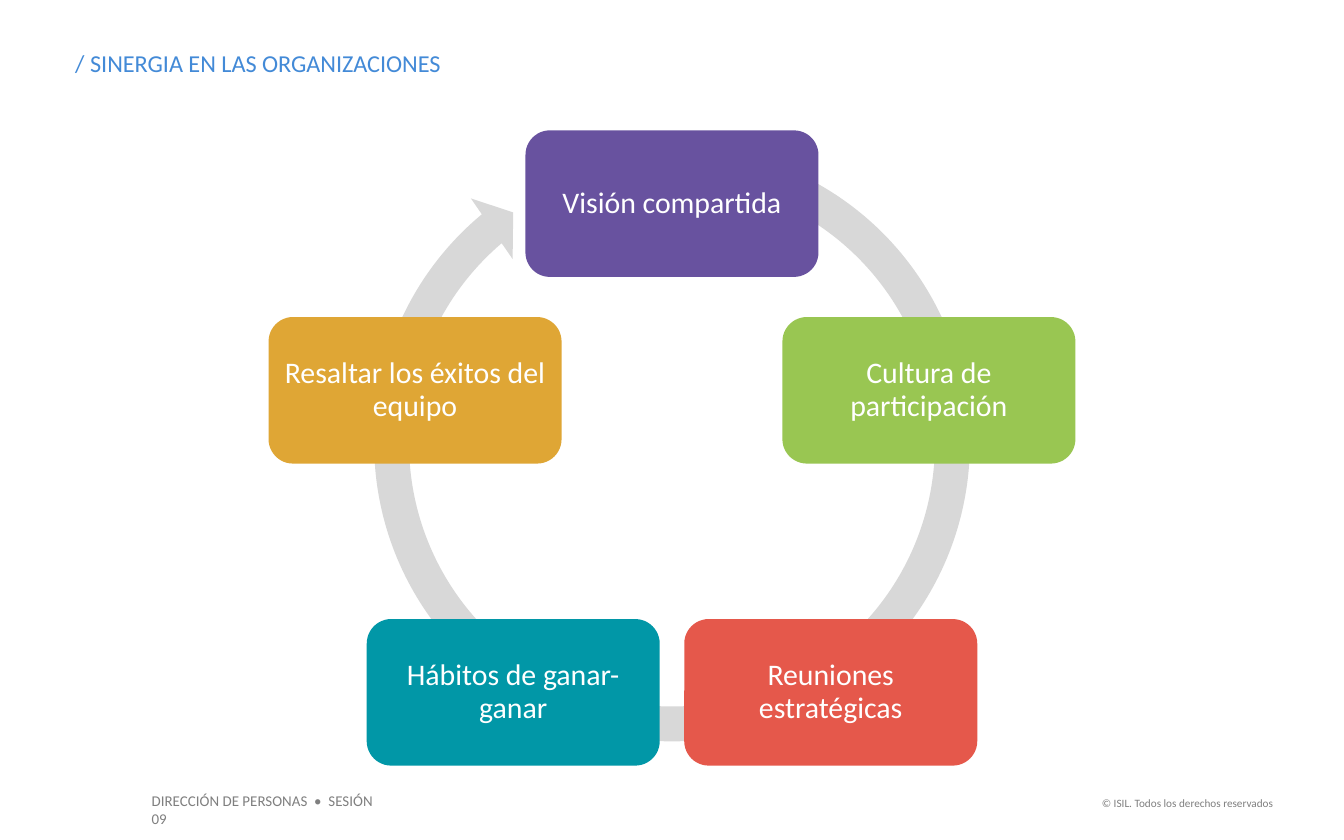
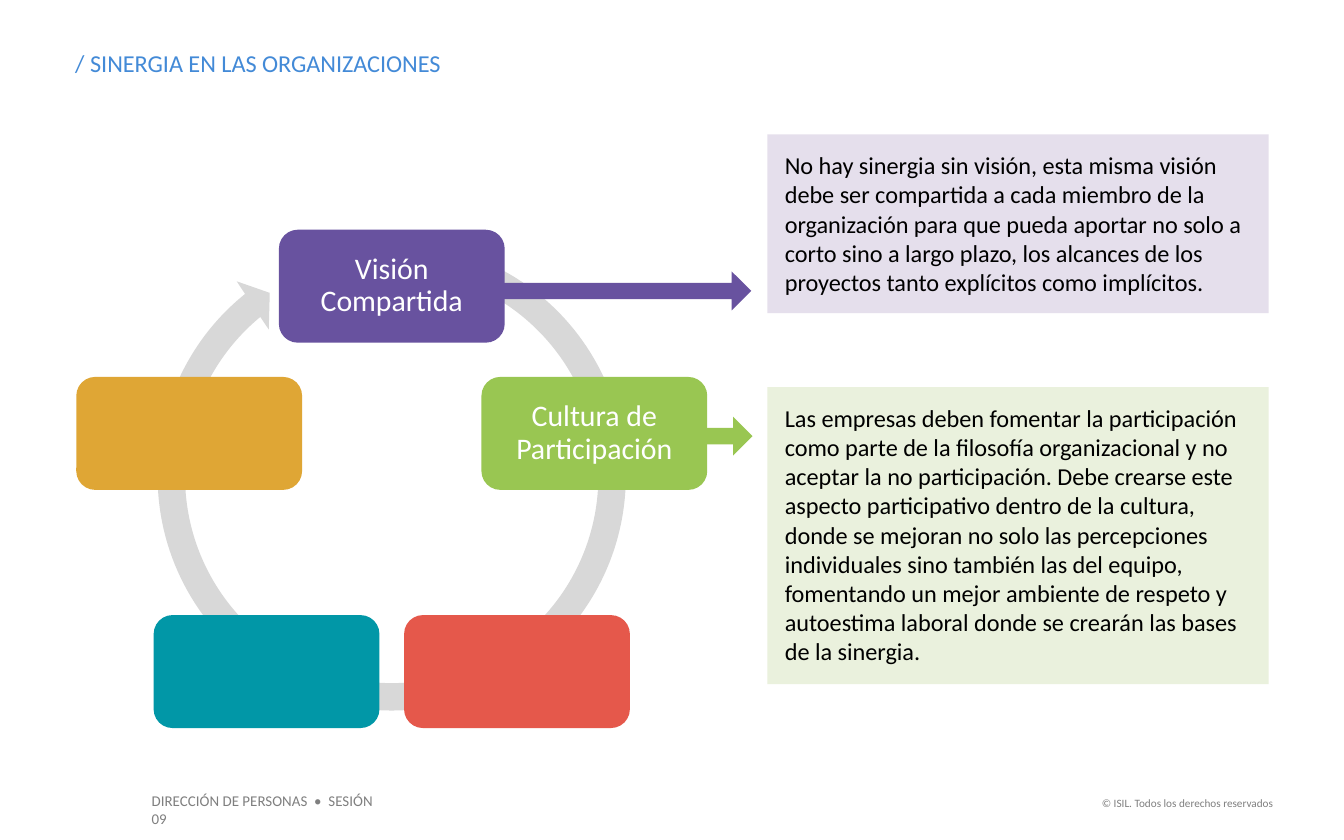
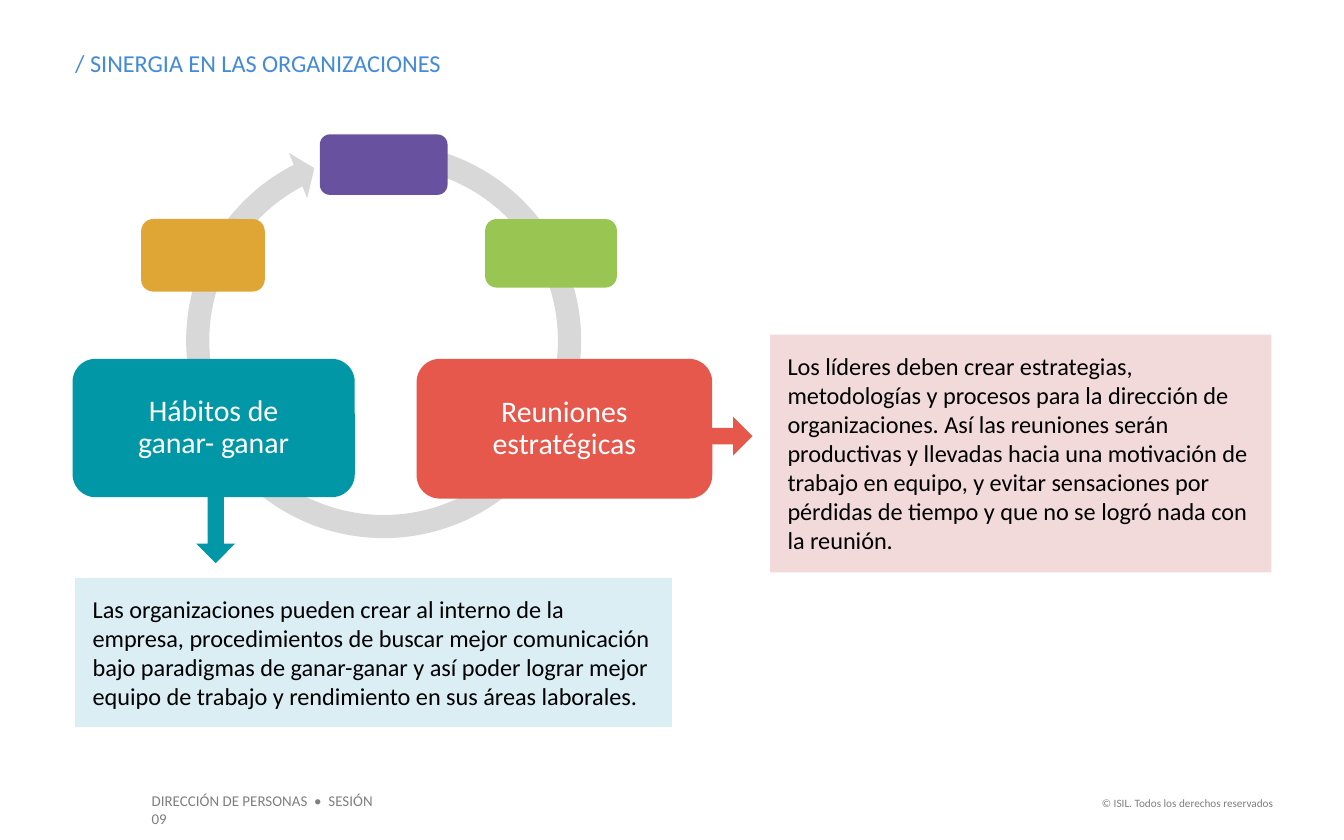
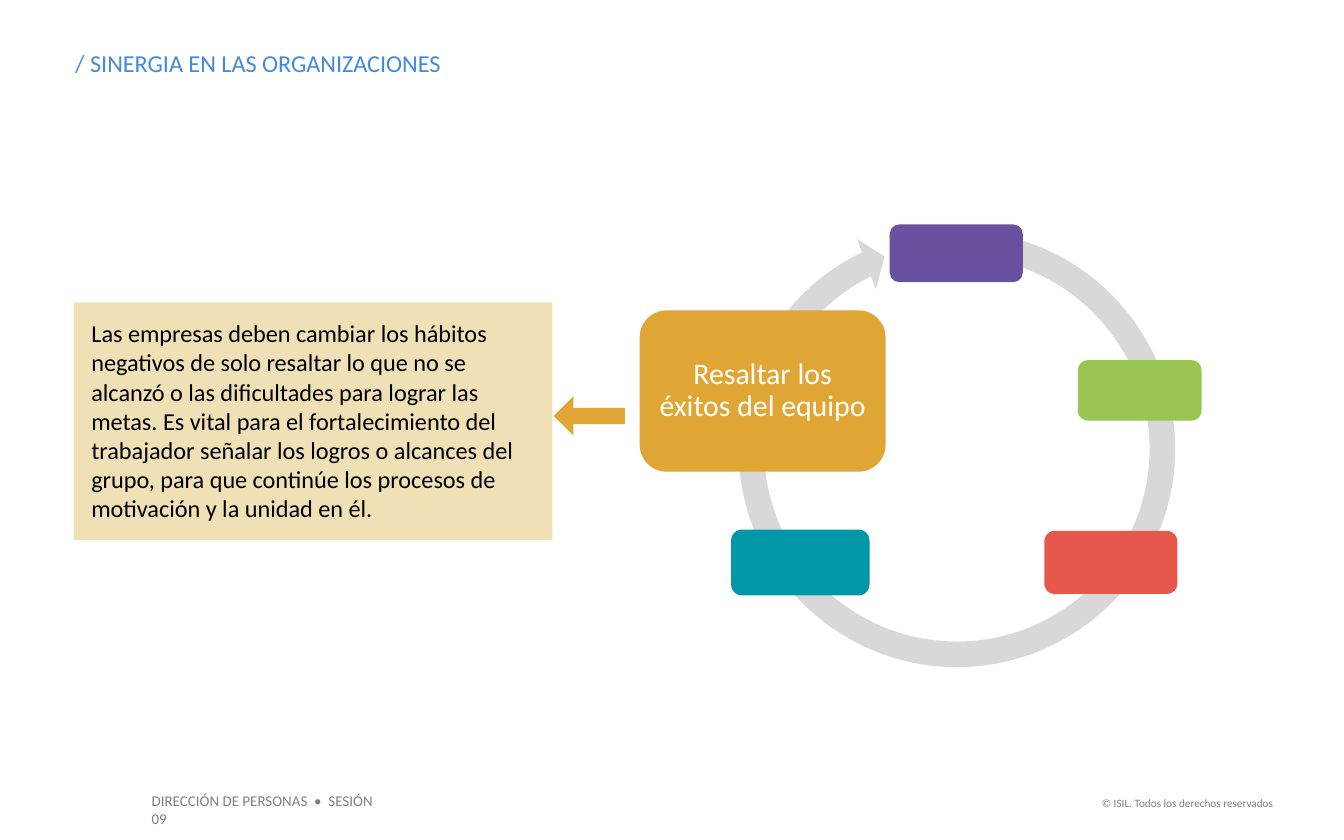
"""Build four slides on synergy in organisations around a five-step cycle."""
import math
from dataclasses import dataclass
from typing import Any, NamedTuple

from pptx import Presentation, util as u
from pptx.dml.color import RGBColor
from pptx.enum import shapes, text

SLIDE_WIDTH, SLIDE_HEIGHT = u.Inches(10), u.Inches(6.25)
COLUMNS = 100
CELL = SLIDE_WIDTH / COLUMNS
DEGREE = 0.6
FONT = "Calibri"
TITLE = "/ SINERGIA EN LAS ORGANIZACIONES"

PURPLE = RGBColor(0x68, 0x52, 0x9F)
GREEN = RGBColor(0x99, 0xC6, 0x52)
RED = RGBColor(0xE5, 0x58, 0x4B)
TEAL = RGBColor(0x01, 0x97, 0xA7)
AMBER = RGBColor(0xDF, 0xA6, 0x35)
LILAC = RGBColor(0xE5, 0xDF, 0xEC)
PALE_GREEN = RGBColor(0xEA, 0xF1, 0xDD)
PALE_RED = RGBColor(0xF2, 0xDA, 0xDA)
PALE_BLUE = RGBColor(0xDA, 0xEE, 0xF3)
SAND = RGBColor(0xF0, 0xE0, 0xB5)
RING_GREY = RGBColor(0xD8, 0xD8, 0xD8)
FOOTER_GREY = RGBColor(0x7F, 0x7F, 0x7F)
TITLE_BLUE = RGBColor(0x43, 0x8A, 0xD7)
WHITE = RGBColor(0xFF, 0xFF, 0xFF)
BLACK = RGBColor(0, 0, 0)
STEP_COLOURS = (PURPLE, GREEN, RED, TEAL, AMBER)


class Area(NamedTuple):
    """A rectangle in grid cells."""
    left: float
    top: float
    width: float
    height: float

    def lengths(self) -> list[int]:
        """Return the four lengths in EMU."""
        return [round(cells * CELL) for cells in self]


class TextStyle(NamedTuple):
    """How one kind of text is set; insets are in grid cells."""
    size: float
    colour: RGBColor
    inset_x: float = 0
    inset_y: float = 0
    align: Any = text.PP_ALIGN.LEFT
    anchor: Any = text.MSO_ANCHOR.TOP
    spacing: float = 1.0


class Ring(NamedTuple):
    """The circular arrow: corner and size in cells, ends in clockwise degrees from the right."""
    left: float
    top: float
    size: float
    start: float
    end: float


class Arrow(NamedTuple):
    """A block arrow that leads from a step to its panel."""
    area: Area
    colour: RGBColor
    turn: float = 0


class Panel(NamedTuple):
    """A tinted box that explains a step."""
    area: Area
    colour: RGBColor
    words: str


@dataclass(frozen=True)
class CycleSlide:
    """The content of one slide."""
    ring: Ring
    steps: list[Area]
    labels: tuple[str, ...]
    panels: tuple[Panel, ...] = ()
    arrows: tuple[Arrow, ...] = ()


TITLE_STYLE = TextStyle(13, TITLE_BLUE)
SESSION_STYLE = TextStyle(8, FOOTER_GREY, 1, 0.5)
RIGHTS_STYLE = TextStyle(6, FOOTER_GREY, 1, 0.5, text.PP_ALIGN.RIGHT)
PANEL_STYLE = TextStyle(13, BLACK, 1.3, 1.2)
STEP_STYLE = TextStyle(16, WHITE, 0.6, 0.7, text.PP_ALIGN.CENTER, text.MSO_ANCHOR.MIDDLE, 0.9)

TITLE_AREA = Area(5.6, 3.6, 42.8, 2.2)
FOOTERS = (
    (Area(10.3, 58.4, 19.8, 2.4), "DIRECCIÓN DE PERSONAS  •  SESIÓN 09", SESSION_STYLE),
    (Area(80.5, 58.75, 15.2, 2), "© ISIL. Todos los derechos reservados", RIGHTS_STYLE),
)


def pentagon(x: float, y: float, radius: float, width: float) -> list[Area]:
    """Place five equal steps, twice as wide as high, clockwise around a centre."""
    angles = [math.radians(72 * step) for step in range(5)]
    return [
        Area(x + radius * math.sin(angle) - width / 2,
             y - radius * math.cos(angle) - width / 4, width, width / 2)
        for angle in angles
    ]


def apply(target: Any, values: dict[str, Any]) -> None:
    """Set every given attribute on the target."""
    for name, value in values.items():
        setattr(target, name, value)


def write(frame: Any, words: str, style: TextStyle) -> None:
    """Fill a text frame in the given style."""
    inset_x, inset_y = round(style.inset_x * CELL), round(style.inset_y * CELL)
    frame.text = words
    apply(frame, {
        "word_wrap": True, "auto_size": text.MSO_AUTO_SIZE.NONE, "vertical_anchor": style.anchor,
        "margin_left": inset_x, "margin_right": inset_x,
        "margin_top": inset_y, "margin_bottom": inset_y,
    })
    for paragraph in frame.paragraphs:
        apply(paragraph, {"alignment": style.align, "line_spacing": style.spacing})
        for run in paragraph.runs:
            apply(run.font, {"name": FONT, "size": u.Pt(style.size)})
            run.font.color.rgb = style.colour


def add_block(slide: Any, kind: Any, area: Area, colour: RGBColor) -> Any:
    """Add a preset shape with a flat fill, no line and no shadow."""
    block = slide.shapes.add_shape(kind, *area.lengths())
    block.fill.solid()
    block.fill.fore_color.rgb = colour
    block.line.fill.background()
    block.shadow.inherit = False
    return block


def add_title(slide: Any) -> None:
    """Move and fill the title placeholder."""
    title = slide.shapes.title
    apply(title, dict(zip(("left", "top", "width", "height"), TITLE_AREA.lengths())))
    write(title.text_frame, TITLE, TITLE_STYLE)


def add_footers(slide: Any) -> None:
    """Write the footers once and hand them to the slide's layout."""
    for area, words, style in FOOTERS:
        footer = slide.shapes.add_textbox(*area.lengths())
        write(footer.text_frame, words, style)
        slide.slide_layout.shapes.element.append(footer.element)


def add_ring(slide: Any, ring: Ring) -> None:
    """Add the circular arrow, setting band, head length, end, start and head width."""
    area = Area(ring.left, ring.top, ring.size, ring.size)
    circle = add_block(slide, shapes.MSO_SHAPE.CIRCULAR_ARROW, area, RING_GREY)
    settings = (0.055, 5.5 * DEGREE, ring.end * DEGREE, ring.start * DEGREE, 0.058)
    for index, value in enumerate(settings):
        circle.adjustments[index] = value


def add_step(slide: Any, area: Area, colour: RGBColor, label: str) -> None:
    """Add one step of the cycle, with its label if it has one."""
    step = add_block(slide, shapes.MSO_SHAPE.ROUNDED_RECTANGLE, area, colour)
    if label:
        write(step.text_frame, label, STEP_STYLE)


def add_panel(slide: Any, panel: Panel) -> None:
    """Add an explanation."""
    box = add_block(slide, shapes.MSO_SHAPE.RECTANGLE, panel.area, panel.colour)
    write(box.text_frame, panel.words, PANEL_STYLE)


def add_arrow(slide: Any, arrow: Arrow) -> None:
    """Add a block arrow, turned as needed."""
    pointer = add_block(slide, shapes.MSO_SHAPE.RIGHT_ARROW, arrow.area, arrow.colour)
    pointer.adjustments[0] = 0.42
    pointer.rotation = arrow.turn


SLIDES = (
    CycleSlide(
        Ring(26.4, 9.4, 47.2, 289.5, 230),
        pentagon(50, 35.25, 20.1, 21.8),
        ("Visión compartida", "Cultura de participación", "Reuniones estratégicas",
         "Hábitos de ganar- ganar", "Resaltar los éxitos del equipo"),
    ),
    CycleSlide(
        Ring(10.6, 16.9, 37.1, 288.9, 230.9),
        pentagon(29.15, 37.15, 15.85, 16.8),
        ("Visión Compartida", "Cultura de Participación", "", "", ""),
        (
            Panel(Area(57.1, 28.8, 37.3, 22.1), PALE_GREEN,
                  "Las empresas deben fomentar la participación como parte de la filosofía "
                  "organizacional y no aceptar la no participación. Debe crearse este aspecto "
                  "participativo dentro de la cultura, donde se mejoran no solo las percepciones "
                  "individuales sino también las del equipo, fomentando un mejor ambiente de "
                  "respeto y autoestima laboral donde se crearán las bases de la sinergia."),
            Panel(Area(57.1, 10, 37.3, 13.3), LILAC,
                  "No hay sinergia sin visión, esta misma visión debe ser compartida a cada "
                  "miembro de la organización para que pueda aportar no solo a corto sino a largo "
                  "plazo, los alcances de los proyectos tanto explícitos como implícitos."),
        ),
        (Arrow(Area(50.7, 31, 5.3, 2.9), GREEN), Arrow(Area(36.8, 20.2, 19.1, 2.9), PURPLE)),
    ),
    CycleSlide(
        Ring(12.9, 9.7, 31.3, 282.2, 242.6),
        [Area(23.8, 10, 9.5, 4.5), Area(36.1, 16.3, 9.8, 5.1), Area(31, 26.7, 22, 10.4),
         Area(5.4, 26.7, 21, 10.3), Area(10.5, 16.3, 9.2, 5.4)],
        ("", "", "Reuniones estratégicas", "Hábitos de\nganar- ganar", ""),
        (
            Panel(Area(5.6, 43, 44.4, 11.1), PALE_BLUE,
                  "Las organizaciones pueden crear al interno de la empresa, procedimientos de "
                  "buscar mejor comunicación bajo paradigmas de ganar-ganar y así poder lograr "
                  "mejor equipo de trabajo y rendimiento en sus áreas laborales."),
            Panel(Area(57.3, 24.9, 37.3, 17.7), PALE_RED,
                  "Los líderes deben crear estrategias, metodologías y procesos para la dirección "
                  "de organizaciones. Así las reuniones serán productivas y llevadas hacia una "
                  "motivación de trabajo en equipo, y evitar sensaciones por pérdidas de tiempo y "
                  "que no se logró nada con la reunión."),
        ),
        (Arrow(Area(50.7, 31, 5.3, 2.9), RED), Arrow(Area(13.4, 37.8, 5.3, 2.9), TEAL, 90)),
    ),
    CycleSlide(
        Ring(53.9, 16.1, 34.6, 281.3, 243.9),
        [Area(66.2, 16.7, 9.9, 4.3), Area(80.2, 26.8, 9.2, 4.5), Area(77.7, 39.5, 9.9, 4.7),
         Area(54.4, 39.4, 10.3, 4.9), Area(47.6, 23.1, 18.3, 12)],
        ("", "", "", "", "Resaltar los éxitos del equipo"),
        (
            Panel(Area(5.5, 22.5, 35.6, 17.7), SAND,
                  "Las empresas deben cambiar los hábitos negativos de solo resaltar lo que no se "
                  "alcanzó o las dificultades para lograr las metas. Es vital para el "
                  "fortalecimiento del trabajador señalar los logros o alcances del grupo, para "
                  "que continúe los procesos de motivación y la unidad en él."),
        ),
        (Arrow(Area(41.2, 29.5, 5.3, 2.9), AMBER, 180),),
    ),
)


def main() -> None:
    """Build and save the presentation."""
    deck = Presentation()
    apply(deck, {"slide_width": SLIDE_WIDTH, "slide_height": SLIDE_HEIGHT})
    title_only = deck.slide_layouts.get_by_name("Title Only")
    for content in SLIDES:
        slide = deck.slides.add_slide(title_only)
        add_title(slide)
        add_ring(slide, content.ring)
        for area, colour, label in zip(content.steps, STEP_COLOURS, content.labels):
            add_step(slide, area, colour, label)
        for panel in content.panels:
            add_panel(slide, panel)
        for arrow in content.arrows:
            add_arrow(slide, arrow)
    add_footers(deck.slides[0])
    deck.save("out.pptx")


if __name__ == "__main__":
    main()
